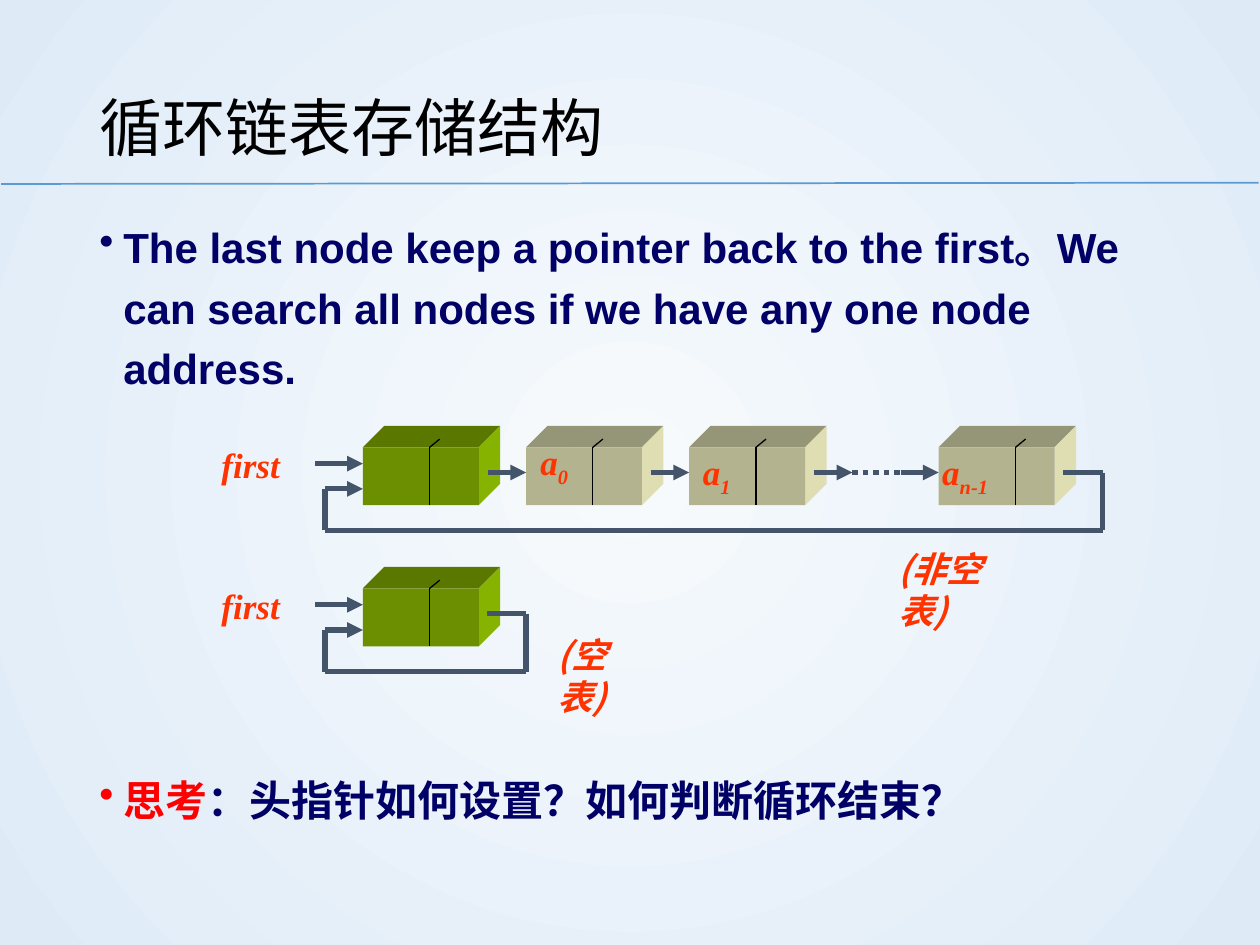
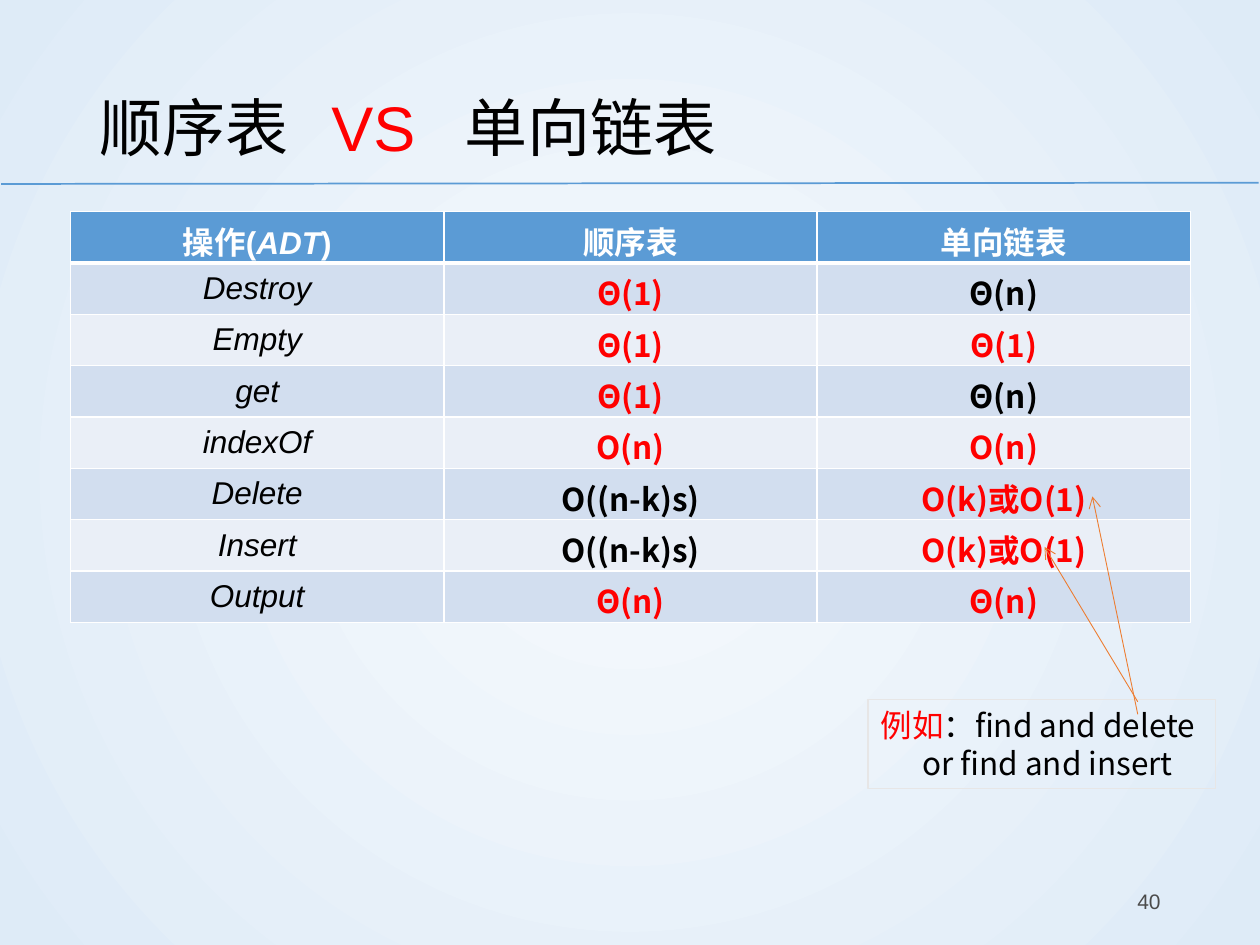
from lxml.etree import SubElement
from pptx import Presentation
from pptx.dml.color import RGBColor as Rgb
from pptx.enum.dml import MSO_LINE as Dash
from pptx.enum.shapes import MSO_CONNECTOR as Link, MSO_SHAPE as Form
from pptx.enum.text import MSO_ANCHOR as Anchor, MSO_AUTO_SIZE as Auto, PP_ALIGN as Align
from pptx.oxml.ns import qn
from pptx.util import Inches, Pt

COLS, ROWS = 100, 75
HUES = {
    "black": "000000", "white": "FFFFFF", "red": "FF0000", "navy": "000066",
    "flame": "FF3300", "slate": "44546A", "blue": "5B9BD5", "grey": "4B4B4B",
    "pale": "E7E6E6", "rust": "ED7D31", "odd": "D2DEEF", "even": "EAEFF7",
    "core": "F7FAFD", "rim": "DEEBF7",
    "leaf": "6B8F00", "moss": "5A7800", "lime": "86B300",
    "sand": "B3B38F", "clay": "959578", "cream": "DEDEB2",
}
# front, top and side of a node block
GREEN = ("leaf", "moss", "lime")
CREAM = ("sand", "clay", "cream")
SANS, SERIF, HAN = "Arial", "Times New Roman", "Noto Sans CJK SC"
LABEL = dict(size=20, hue="flame", bold=True, slant=True)


def tone(name):
    return Rgb.from_string(HUES[name])


class Deck:
    """Holds the style and the current slide; lengths are grid columns and rows."""

    def __init__(self):
        self.show = Presentation()
        self.show.slide_width, self.show.slide_height = Inches(10), Inches(7.5)
        self.wide = self.show.slide_width / COLS
        self.high = self.show.slide_height / ROWS
        self.glow()

    def glow(self):
        """Give the master a round gradient from the middle outwards."""
        master = self.show.slide_master
        fill = master.background.fill
        fill.gradient()
        for stop, hue, spot in zip(fill.gradient_stops, ("core", "rim"), (0, 1)):
            stop.color.rgb, stop.position = tone(hue), spot
        grad = next(master.element.iter(qn("a:gradFill")))
        grad.remove(grad.find(qn("a:lin")))
        ring = SubElement(grad, qn("a:path"))
        ring.set("path", "circle")
        mid = SubElement(ring, qn("a:fillToRect"))
        for side in "ltrb":
            mid.set(side, "50000")

    def spot(self, x, y):
        return round(x * self.wide), round(y * self.high)

    def area(self, x, y, w, h):
        return *self.spot(x, y), *self.spot(w, h)

    def page(self, parts, tabs=()):
        self.slide = self.show.slides.add_slide(self.show.slide_layouts[5])
        self.shapes = self.slide.shapes
        title = self.shapes.title
        title.left, title.top, title.width, title.height = self.area(6.9, 4, 86.2, 10.8)
        frame = title.text_frame
        frame.auto_size, frame.vertical_anchor = Auto.NONE, Anchor.MIDDLE
        par = frame.paragraphs[0]
        par.alignment, par.line_spacing = Align.LEFT, 1.2
        self.put(par, parts, size=36)
        if tabs:
            stops = SubElement(par._p.get_or_add_pPr(), qn("a:tabLst"))
            for tab in tabs:
                stop = SubElement(stops, qn("a:tab"))
                stop.set("pos", str(round(tab * self.wide)))
                stop.set("algn", "l")
        self.line((0.1, 14.6), (99.9, 14.5), "blue", 1)

    def put(self, par, parts, **look):
        """Fill a paragraph with (text, changes) parts that share one look."""
        if isinstance(parts, str):
            parts = [(parts, {})]
        par.text = parts[0][0]
        for text, _ in parts[1:]:
            par.add_run().text = text
        for run, (_, extra) in zip(par.runs, parts):
            self.font(run, **{**look, **extra})

    def font(self, run, size=18, hue="black", face=SANS, bold=False, slant=False, base=0):
        font = run.font
        font.size, font.name, font.bold, font.italic = Pt(size), face, bold, slant
        font.color.rgb = tone(hue)
        SubElement(run._r.rPr, qn("a:ea")).set("typeface", HAN)
        if base:
            run._r.rPr.set("baseline", str(base * 1000))

    def text(self, box, parts, align=Align.LEFT, tight=False, anchor=Anchor.TOP, **look):
        frame = self.shapes.add_textbox(*self.area(*box)).text_frame
        frame.word_wrap, frame.vertical_anchor = True, anchor
        par = frame.paragraphs[0]
        par.alignment = align
        if tight:
            par.line_spacing = Pt(1.2 * look["size"])
        self.put(par, parts, **look)

    def points(self, box, items):
        """Add bulleted (parts, space before) items."""
        frame = self.shapes.add_textbox(*self.area(*box)).text_frame
        frame.word_wrap = True
        for i, (parts, gap) in enumerate(items):
            par = frame.add_paragraph() if i else frame.paragraphs[0]
            par.line_spacing, par.space_before = 1.2, Pt(gap)
            self.put(par, parts, size=24, hue="navy", bold=True)
            props = par._p.get_or_add_pPr()
            dent = Inches(0.19)
            props.set("marL", str(dent))
            props.set("indent", str(-dent))
            SubElement(props, qn("a:buChar")).set("char", "•")

    def line(self, start, end, hue="slate", width=3, head=None, dash=None):
        link = self.shapes.add_connector(Link.STRAIGHT, *self.spot(*start), *self.spot(*end))
        link.line.color.rgb, link.line.width = tone(hue), Pt(width)
        if dash:
            link.line.dash_style = dash
        if head:
            SubElement(link.line._get_or_add_ln(), qn("a:tailEnd")).set("type", head)
        SubElement(link._element.spPr, qn("a:effectLst"))

    def chain(self, *spots):
        """Draw lines from spot to spot, with an arrowhead on the last."""
        pairs = list(zip(spots, spots[1:]))
        for pair in pairs:
            self.line(*pair, head="triangle" if pair is pairs[-1] else None)

    def paint(self, shape, hue):
        shape.shadow.inherit = False
        shape.fill.solid()
        shape.fill.fore_color.rgb = tone(hue)
        shape.line.fill.background()

    def face(self, spots, hue):
        first, *rest = [self.spot(*s) for s in spots]
        form = self.shapes.build_freeform(*first, scale=1.0)
        form.add_line_segments(rest, close=True)
        self.paint(form.convert_to_shape(), hue)

    def node(self, x, y, hues, split=5.3):
        """Draw a block in depth, with a data part and a pointer part."""
        w, h, deep = 9.2, 4.6, 1.7
        front, top, side = hues
        right, low = x + w, y + h
        back, rise = right + deep, y - deep
        self.face([(x, y), (x + deep, rise), (back, rise), (right, y)], top)
        self.face([(right, y), (back, rise), (back, low - deep), (right, low)], side)
        self.paint(self.shapes.add_shape(Form.RECTANGLE, *self.area(x, y, w, h)), front)
        cut = x + split
        self.line((cut, y), (cut, low), "black", 0.75)
        self.line((cut, y), (cut + 0.8, y - 0.65), "black", 0.75)

    def ring(self, y, x, end):
        """Draw the head pointer and the way back from the last node."""
        self.text((16.6, y - 0.8, 8, 4.4), "first", face=SERIF, **LABEL)
        self.chain((25, y + 1.3), (x, y + 1.3))
        turn, out, low, back = x - 3, y + 2, y + 6.6, y + 3.3
        self.chain((end - 3.1, out), (end, out), (end, low),
                   (turn, low), (turn, back), (x, back))

    def edge(self, cell, bottom):
        props = cell._tc.get_or_add_tcPr()
        for side, width in zip("LRTB", (1, 1, 1, bottom)):
            ln = SubElement(props, qn("a:ln" + side))
            ln.set("w", str(Pt(width)))
            fill = SubElement(ln, qn("a:solidFill"))
            SubElement(fill, qn("a:srgbClr")).set("val", HUES["white"])

    def cell(self, cell, parts, fill, bottom=1, **look):
        self.edge(cell, bottom)
        cell.fill.solid()
        cell.fill.fore_color.rgb = tone(fill)
        cell.vertical_anchor = Anchor.MIDDLE
        cell.margin_left = cell.margin_right = Inches(0.13)
        cell.margin_top = cell.margin_bottom = Inches(0.05)
        par = cell.text_frame.paragraphs[0]
        par.alignment = Align.CENTER
        self.put(par, parts, **look)

    def table(self, box, head, rows):
        """Fill a table; each row ends with the columns to show in red."""
        grid = self.shapes.add_table(len(rows) + 1, len(head), *self.area(*box)).table
        for c, parts in enumerate(head):
            self.cell(grid.cell(0, c), parts, "blue", 3, hue="white", bold=True)
        for r, (name, *costs, best) in enumerate(rows, 1):
            fill = "odd" if r % 2 else "even"
            self.cell(grid.cell(r, 0), name, fill, slant=True)
            for c, cost in enumerate(costs, 1):
                hue = "red" if c in best else "black"
                self.cell(grid.cell(r, c), cost, fill, face=HAN, bold=True, hue=hue)

    def note(self, box, lines, dents):
        shape = self.shapes.add_shape(Form.RECTANGLE, *self.area(*box))
        shape.shadow.inherit = False
        shape.fill.background()
        shape.line.color.rgb, shape.line.width = tone("pale"), Pt(0.75)
        frame = shape.text_frame
        frame.word_wrap, frame.vertical_anchor = False, Anchor.MIDDLE
        for i, (parts, dent) in enumerate(zip(lines, dents)):
            par = frame.add_paragraph() if i else frame.paragraphs[0]
            par.alignment, par.line_spacing = Align.LEFT, Pt(21.6)
            self.put(par, parts, face=HAN)
            par._p.get_or_add_pPr().set("marL", str(round(dent * self.wide)))


def circle(deck):
    deck.page("循环链表存储结构")
    deck.points((6.9, 16.3, 86.2, 51.3), [
        ("The last node keep a pointer back to the first。"
         "We can search all nodes if we have any one node address.", 7.5),
        ([("思考", {"hue": "red"}), ("：头指针如何设置？如何判断循环结束？", {})], 212),
    ])
    left, step, last, top, low = 28.8, 12.95, 74.5, 35.5, 46.7
    out = top + 2
    spots = [left + i * step for i in range(3)]
    for x in spots:
        deck.node(x, top, GREEN if x == left else CREAM)
    deck.node(last, top, CREAM, 6.1)
    for x in spots:
        deck.chain((x + 9.9, out), (x + step, out))
    dots = spots[-1] + step
    deck.line((dots, out), (72.2, out), dash=Dash.ROUND_DOT)
    deck.chain((71.5, out), (last, out))
    deck.ring(top, left, 87.5)
    for x, y, sub in ((41.9, 34.5, "0"), (54.8, 35.3, "1"), (73.8, 35.3, "n-1")):
        deck.text((x, y, 7, 4.4), [("a", {}), (sub, {"base": -25})], face=SERIF, **LABEL)

    deck.node(left, low, GREEN)
    deck.ring(low, left, left + step)
    for x, y, w, name in ((43.3, 49.8, 8, "(空表)"), (70.3, 43, 10.5, "(非空表)")):
        deck.text((x, y, w, 7.6), name, tight=True, face=HAN, **LABEL)


def versus(deck):
    deck.page([("顺序表\t", {}), ("VS\t", {"hue": "red"}), ("单向链表", {})], (18.4, 29))
    deck.text((70.6, 69.5, 22.5, 4), "40", Align.RIGHT, anchor=Anchor.MIDDLE,
              size=12, hue="grey")
    head = [[("操作(", {}), ("ADT", {"slant": True}), (")", {})], "顺序表", "单向链表"]
    deck.table((5.6, 16.8, 88.9, 32.6), head, [
        ("Destroy", "Θ(1)", "Θ(n)", (1,)),
        ("Empty", "Θ(1)", "Θ(1)", (1, 2)),
        ("get", "Θ(1)", "Θ(n)", (1,)),
        ("indexOf", "Ο(n)", "Ο(n)", (1, 2)),
        ("Delete", "Ο((n-k)s)", "Ο(k)或Ο(1)", (2,)),
        ("Insert", "Ο((n-k)s)", "Ο(k)或Ο(1)", (2,)),
        ("Output", "Θ(n)", "Θ(n)", (1, 2)),
    ])
    deck.note((68.9, 55.5, 27.6, 7.1), [
        [("例如", {"hue": "red"}), ("：find and delete", {})],
        "or find and insert",
    ], (0, 3.3))
    for start, end in (((90.3, 56.7), (86.7, 39.4)), ((90.3, 55.7), (82.9, 43.4))):
        deck.line(start, end, "rust", 0.5, "arrow")


def main():
    deck = Deck()
    circle(deck)
    versus(deck)
    deck.show.save("out.pptx")


if __name__ == "__main__":
    main()
